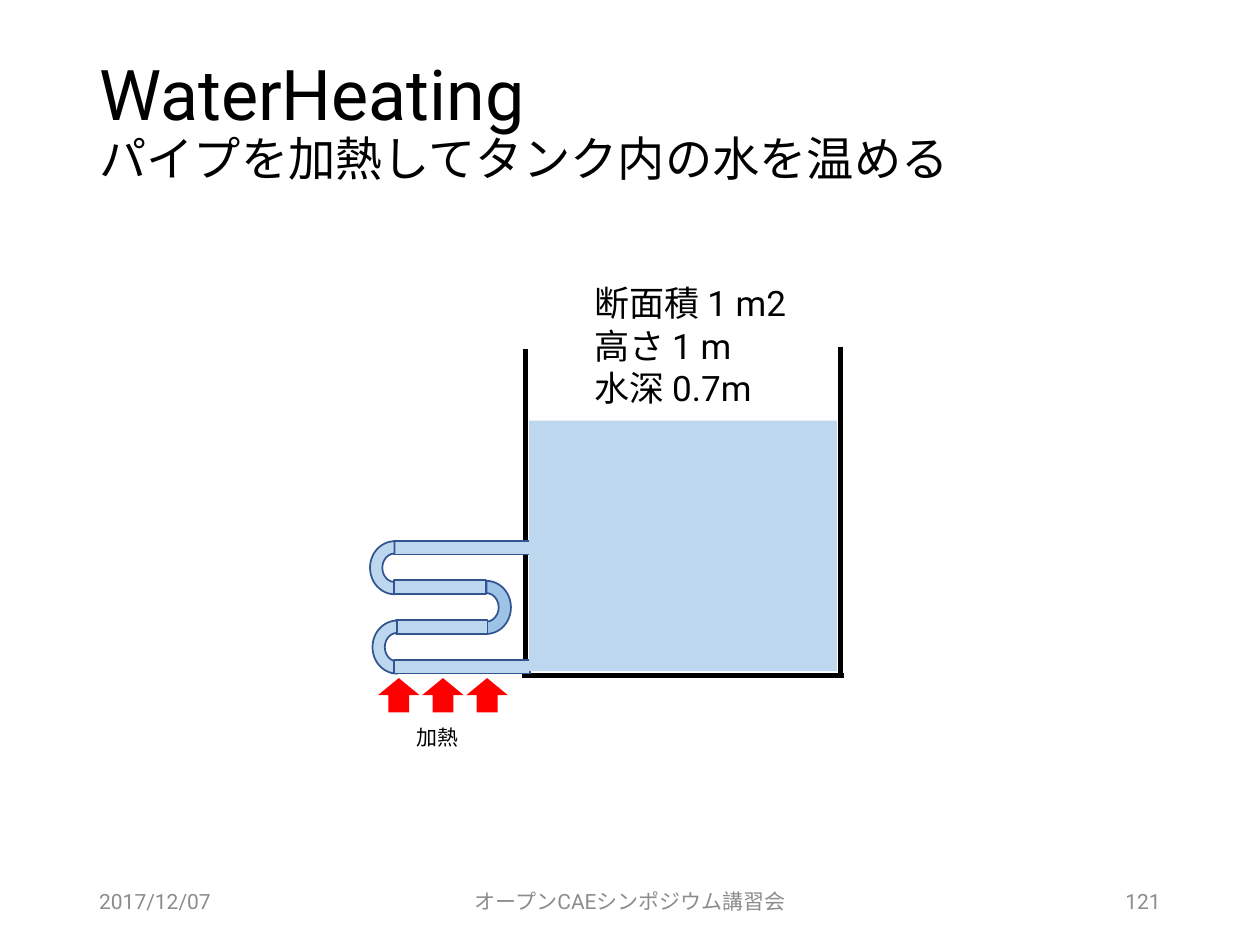
"""Build a slide showing a water tank warmed through a heated pipe."""
from typing import NamedTuple, Optional

from lxml.etree import SubElement
from pptx import Presentation
from pptx.dml.color import RGBColor
from pptx.enum.shapes import MSO_CONNECTOR, MSO_SHAPE
from pptx.enum.text import MSO_ANCHOR, MSO_AUTO_SIZE, PP_ALIGN
from pptx.oxml.ns import qn
from pptx.util import Cm, Pt

COLORS = {
    "text": "000000",
    "footer": "8C8C8C",
    "wall": "000000",
    "water": "BDD7EE",
    "bend": "9DC3E6",
    "pipe_line": "325491",
    "heat": "FF0000",
}
FONT = "Roboto"
PIPE_STEP = 0.8
ARROW_STEP = 0.89


class Box(NamedTuple):
    x: float
    y: float
    w: float
    h: float


class Label(NamedTuple):
    text: str
    box: Box
    size: int
    color: str = "text"
    align: PP_ALIGN = PP_ALIGN.LEFT
    anchor: MSO_ANCHOR = MSO_ANCHOR.TOP


class Wall(NamedTuple):
    x1: float
    y1: float
    x2: float
    y2: float


class Part(NamedTuple):
    kind: MSO_SHAPE
    box: Box
    fill: str = "water"
    line: Optional[str] = "pipe_line"
    rotation: int = 0


def rgb(name: str) -> RGBColor:
    return RGBColor.from_string(COLORS[name])


def pipe(x: float, row: int, w: float) -> Part:
    return Part(MSO_SHAPE.RECTANGLE, Box(x, 10.9 + row * PIPE_STEP, w, 0.28))


def bend(x: float, row: int, rotation: int, fill: str = "water") -> Part:
    box = Box(x, 10.95 + row * PIPE_STEP, 1.07, 0.99)
    return Part(MSO_SHAPE.BLOCK_ARC, box, fill, rotation=rotation)


def style_run(r, size: int, color: str) -> None:
    r.font.name = FONT
    r.font.size = Pt(size)
    r.font.color.rgb = rgb(color)


def add_title(s, box: Box, heading: str, subheading: str) -> None:
    sp = s.shapes.title
    sp.left, sp.top, sp.width, sp.height = map(Cm, box)
    tf = sp.text_frame
    tf.text = f"{heading}\v{subheading}"
    tf.auto_size = MSO_AUTO_SIZE.NONE
    tf.vertical_anchor = MSO_ANCHOR.MIDDLE
    p = tf.paragraphs[0]
    p.alignment = PP_ALIGN.LEFT
    p.line_spacing = 0.9
    for r, size in zip(p.runs, (40, 27)):
        style_run(r, size, "text")


def add_label(s, label: Label) -> None:
    tf = s.shapes.add_textbox(*map(Cm, label.box)).text_frame
    tf.word_wrap = True
    tf.vertical_anchor = label.anchor
    tf.text = label.text
    for p in tf.paragraphs:
        p.alignment = label.align
        for r in p.runs:
            style_run(r, label.size, label.color)


def add_wall(s, wall: Wall) -> None:
    sp = s.shapes.add_connector(MSO_CONNECTOR.STRAIGHT, *map(Cm, wall))
    sp.line.color.rgb = rgb("wall")
    sp.line.width = Pt(3)
    SubElement(sp._element.spPr, qn("a:effectLst"))


def add_part(s, part: Part) -> None:
    sp = s.shapes.add_shape(part.kind, *map(Cm, part.box))
    sp.shadow.inherit = False
    sp.rotation = part.rotation
    sp.fill.solid()
    sp.fill.fore_color.rgb = rgb(part.fill)
    if part.line:
        sp.line.color.rgb = rgb(part.line)
        sp.line.width = Pt(1)
    else:
        sp.line.fill.background()


WALLS = [
    Wall(10.59, 7.04, 10.59, 13.64),
    Wall(16.94, 6.99, 16.94, 13.59),
    Wall(10.52, 13.61, 17.02, 13.61),
]
PARTS = [
    pipe(7.95, 0, 2.74),
    bend(7.42, 0, 270),
    bend(9.27, 1, 90, "bend"),
    pipe(7.95, 1, 1.85),
    pipe(7.98, 2, 1.85),
    bend(7.47, 2, 270),
    pipe(7.95, 3, 2.74),
    Part(MSO_SHAPE.RECTANGLE, Box(10.67, 8.48, 6.2, 5.05), line=None),
] + [
    Part(MSO_SHAPE.UP_ARROW, Box(7.62 + i * ARROW_STEP, 13.67, 0.84, 0.69), "heat", None)
    for i in range(3)
]
LABELS = [
    Label("断面積 1 m2\n高さ 1 m\n水深 0.7m", Box(11.73, 5.56, 5.13, 2.82), 20),
    Label("加熱", Box(8.15, 14.48, 7.62, 1.02), 12),
] + [
    Label(text, Box(x, 17.65, w, 1.02), 12, "footer", align, MSO_ANCHOR.MIDDLE)
    for text, x, w, align in (
        ("2017/12/07", 1.75, 5.72, PP_ALIGN.LEFT),
        ("オープンCAEシンポジウム講習会", 8.41, 8.59, PP_ALIGN.CENTER),
        ("121", 17.93, 5.72, PP_ALIGN.RIGHT),
    )
]


def main() -> None:
    prs = Presentation()
    prs.slide_width, prs.slide_height = Cm(25.4), Cm(19.05)
    s = prs.slides.add_slide(prs.slide_layouts[5])
    add_title(s, Box(1.75, 0.99, 21.9, 3), "WaterHeating", "パイプを加熱してタンク内の水を温める")
    for wall in WALLS:
        add_wall(s, wall)
    for label in LABELS:
        add_label(s, label)
    for part in PARTS:
        add_part(s, part)
    prs.save("out.pptx")


if __name__ == "__main__":
    main()
